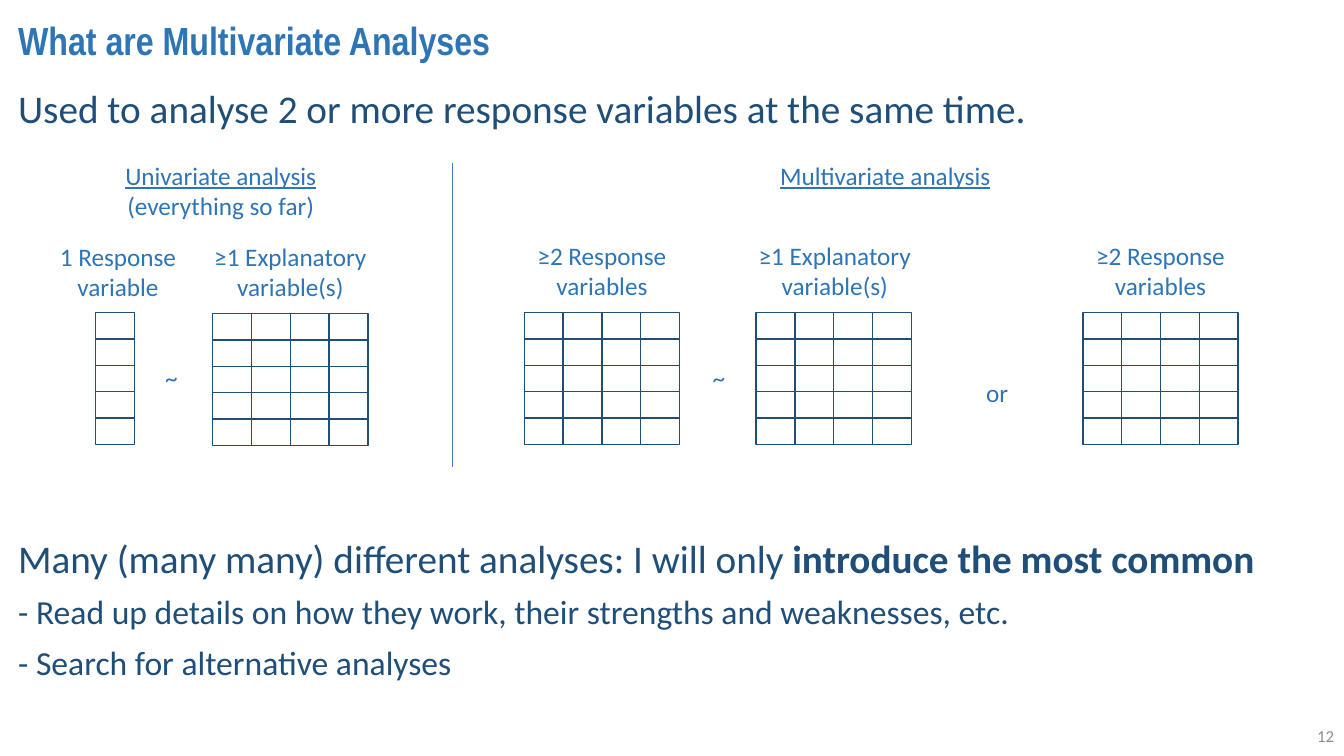
from dataclasses import dataclass

from lxml import etree
from pptx import Presentation
from pptx.dml.color import RGBColor
from pptx.enum.shapes import MSO_CONNECTOR, MSO_SHAPE
from pptx.enum.text import MSO_ANCHOR, MSO_AUTO_SIZE, PP_ALIGN
from pptx.oxml.ns import qn
from pptx.util import Inches, Pt

RECTANGLE = MSO_SHAPE.RECTANGLE
STRAIGHT = MSO_CONNECTOR.STRAIGHT
LEFT, CENTER, RIGHT = PP_ALIGN.LEFT, PP_ALIGN.CENTER, PP_ALIGN.RIGHT
MIDDLE, TOP = MSO_ANCHOR.MIDDLE, MSO_ANCHOR.TOP
NO_AUTOFIT = MSO_AUTO_SIZE.NONE

BLUE, NAVY, DIVIDER_BLUE, GREY = "2E75B6", "1F4E79", "4472C4", "8C8C8C"
CELL_WIDTH, CELL_HEIGHT = 1.54 / 4, 1.31 / 5
GRID_ROWS = 5


@dataclass
class Run:
    text: str
    bold: bool = False
    underline: bool = False


@dataclass
class Label:
    runs: list[Run]
    left: float
    top: float
    width: float
    height: float = 0.4


@dataclass
class Matrix:
    left: float
    top: float
    columns: int = 4


@dataclass
class Statement:
    runs: list[Run]
    size: int
    space_before: int


LABELS = [
    # Headings
    Label([Run("Univariate analysis ", underline=True), Run("(everything so far)")],
          0.89, 1.54, 2.6, 0.71),
    Label([Run("Multivariate analysis", underline=True)], 7.48, 1.54, 2.6),
    # Captions of the matrices
    Label([Run("1 Response variable")], 0.19, 2.34, 1.96, 0.71),
    Label([Run("≥1 Explanatory variable(s)")], 1.9, 2.34, 1.96, 0.71),
    Label([Run("≥2 Response variables")], 4.99, 2.33, 1.96, 0.71),
    Label([Run("≥1 Explanatory variable(s)")], 7.3, 2.33, 1.96, 0.71),
    Label([Run("≥2 Response variables")], 10.53, 2.33, 1.96, 0.71),
    # Signs between the matrices
    Label([Run("~")], 1.15, 3.55, 1.1),
    Label([Run("~")], 6.58, 3.55, 1.1),
    Label([Run("or")], 9.34, 3.69, 1.1),
]

MATRICES = [
    Matrix(0.95, 3.1, columns=1),
    Matrix(2.11, 3.11),
    Matrix(5.2, 3.1),
    Matrix(7.5, 3.1),
    Matrix(10.74, 3.1),
]

STATEMENTS = [
    Statement([Run("Used to analyse 2 or more response variables at the same time.")], 28, 0),
    Statement([Run("Many (many many) different analyses: I will only "),
               Run("introduce the most common", bold=True)], 28, 291),
    Statement([Run("- Read up details on how they work, their strengths and weaknesses, etc.")],
              24, 10),
    Statement([Run("- Search for alternative analyses")], 24, 10),
]


def rgb(hex_colour: str) -> RGBColor:
    return RGBColor.from_string(hex_colour)


def place(shape, left: float, top: float, width: float, height: float) -> None:
    shape.left, shape.top = Inches(left), Inches(top)
    shape.width, shape.height = Inches(width), Inches(height)


def write(paragraph, runs: list[Run], size: int, colour: str, align: PP_ALIGN,
          font_name: str = "Calibri") -> None:
    paragraph.alignment = align
    font = paragraph.font
    font.name, font.size, font.color.rgb = font_name, Pt(size), rgb(colour)
    for part in runs:
        run = paragraph.add_run()
        run.text = part.text
        if part.bold:
            run.font.bold = True
        if part.underline:
            run.font.underline = True


def add_label(slide, label: Label, size: int = 18, colour: str = BLUE,
              align: PP_ALIGN = CENTER, anchor: MSO_ANCHOR = TOP) -> None:
    box = slide.shapes.add_textbox(Inches(label.left), Inches(label.top),
                                   Inches(label.width), Inches(label.height))
    frame = box.text_frame
    frame.word_wrap = True
    frame.vertical_anchor = anchor
    write(frame.paragraphs[0], label.runs, size, colour, align)


def add_matrix(slide, matrix: Matrix) -> None:
    for column in range(matrix.columns):
        for row in range(GRID_ROWS):
            cell = slide.shapes.add_shape(
                RECTANGLE,
                Inches(matrix.left + column * CELL_WIDTH),
                Inches(matrix.top + row * CELL_HEIGHT),
                Inches(CELL_WIDTH), Inches(CELL_HEIGHT))
            cell.shadow.inherit = False
            cell.fill.background()
            cell.line.color.rgb = rgb(NAVY)
            cell.line.width = Pt(1)


def add_divider(slide, x: float, top: float, bottom: float) -> None:
    divider = slide.shapes.add_connector(STRAIGHT, Inches(x), Inches(top),
                                         Inches(x), Inches(bottom))
    divider.line.color.rgb = rgb(DIVIDER_BLUE)
    divider.line.width = Pt(0.5)
    etree.SubElement(divider._element.spPr, qn("a:effectLst"))


def fill_title(title) -> None:
    place(title, 0.08, 0.12, 13.16, 0.6)
    frame = title.text_frame
    frame.auto_size = NO_AUTOFIT
    frame.vertical_anchor = MIDDLE
    heading = frame.paragraphs[0]
    heading.line_spacing = 0.9
    write(heading, [Run("What are Multivariate Analyses")], 28, BLUE, LEFT, "Arial Narrow")
    heading.font.bold = True


def fill_body(body) -> None:
    place(body, 0.08, 0.84, 13.16, 6.64)
    frame = body.text_frame
    frame.auto_size = NO_AUTOFIT
    for index, statement in enumerate(STATEMENTS):
        paragraph = frame.add_paragraph() if index else frame.paragraphs[0]
        paragraph.line_spacing = 0.9
        paragraph.space_before = Pt(statement.space_before)
        properties = paragraph._p.get_or_add_pPr()
        properties.set("marL", "0")
        properties.set("indent", "0")
        etree.SubElement(properties, qn("a:buNone"))
        write(paragraph, statement.runs, statement.size, NAVY, LEFT)


def main() -> None:
    presentation = Presentation()
    presentation.slide_width = Inches(13.33)
    presentation.slide_height = Inches(7.5)
    slide = presentation.slides.add_slide(presentation.slide_layouts[1])

    # Title and statements
    fill_title(slide.shapes.title)
    fill_body(slide.placeholders[1])

    # Comparison of the two kinds of analysis
    for matrix in MATRICES:
        add_matrix(slide, matrix)
    for label in LABELS:
        add_label(slide, label)
    add_divider(slide, 4.49, 1.62, 4.63)

    # Page number
    add_label(slide, Label([Run("12")], 10.33, 7.1, 3), 12, GREY, RIGHT, MIDDLE)

    presentation.save("out.pptx")


if __name__ == "__main__":
    main()
